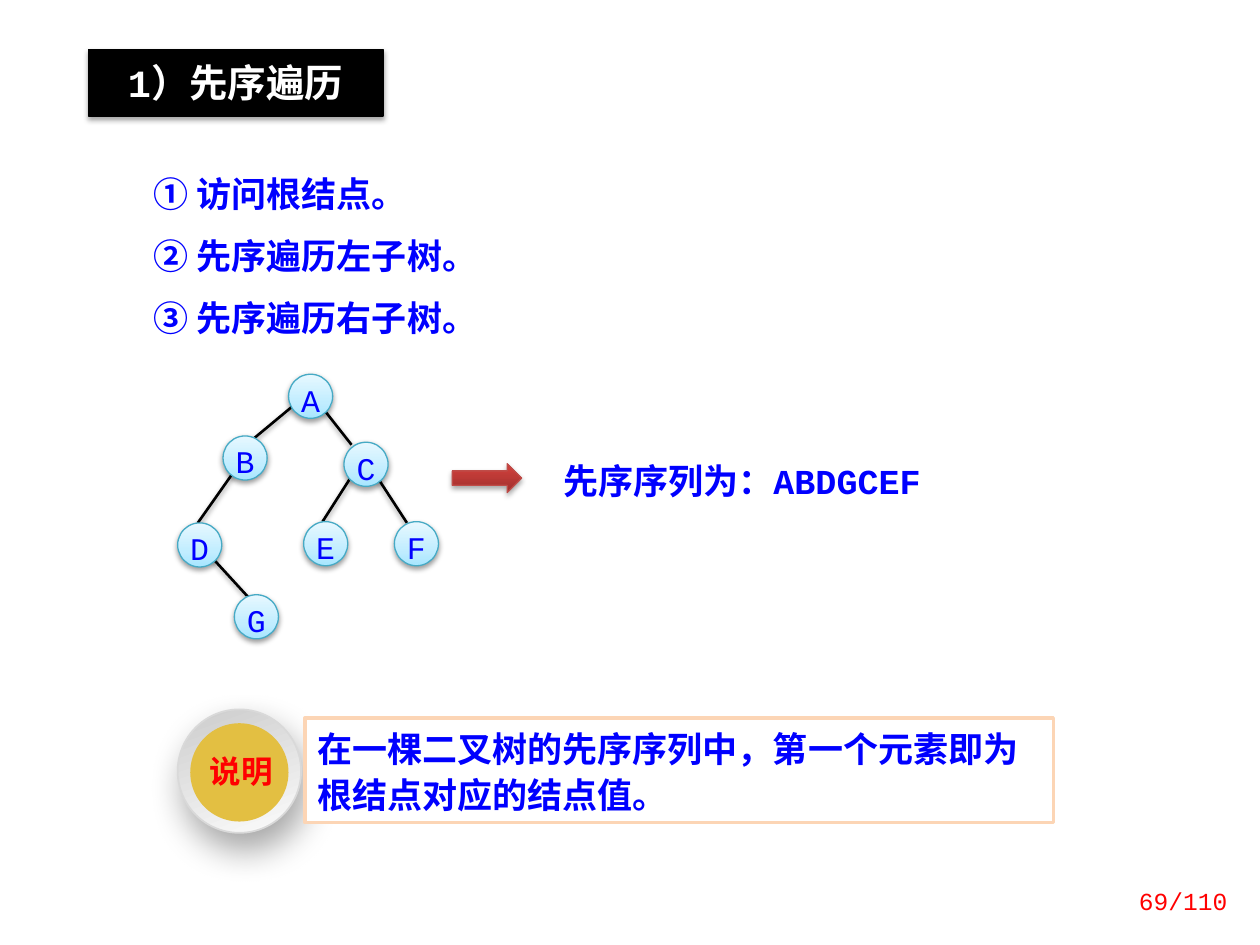
import pptx
import pptx.util
import pptx.dml.color
import pptx.enum.shapes
import pptx.enum.text
import pptx.oxml.ns
from lxml import etree

Inches = pptx.util.Inches
Pt = pptx.util.Pt
RGBColor = pptx.dml.color.RGBColor
Shape = pptx.enum.shapes.MSO_SHAPE
Align = pptx.enum.text.PP_ALIGN
Anchor = pptx.enum.text.MSO_ANCHOR
qn = pptx.oxml.ns.qn

BLACK = RGBColor(0x00, 0x00, 0x00)
WHITE = RGBColor(0xFF, 0xFF, 0xFF)
BLUE = RGBColor(0x00, 0x00, 0xFF)
RED = RGBColor(0xFF, 0x00, 0x00)
TEAL = RGBColor(0x46, 0xAA, 0xC5)
BRICK = RGBColor(0xBF, 0x4C, 0x48)
GREY = RGBColor(0xD9, 0xD9, 0xD9)
GOLD = RGBColor(0xE3, 0xBF, 0x42)
PEACH = RGBColor(0xFC, 0xD5, 0xB5)

# Gradients: angle, then (position, colour) stops
SKY = (270, [(0, "A7E6FF"), (35, "C1EDFF"), (100, "E7F8FF")])
RUST = (270, [(0, "9C2F2D"), (80, "CB3E3A"), (100, "CE3B37")])
STEEL = (70, [(0, "CCCCCC"), (100, "FCFCFC")])

# Shadows: opacity, blur, distance, angle
SOFT = (38, 3.1, 1.6, 90)
FIRM = (35, 3.1, 1.8, 90)
DEEP = (34, 20, 10, 70)


class Deck:
    mono = "Courier New"
    sans = "Noto Sans CJK SC"

    def __init__(self):
        self.prs = pptx.Presentation()
        self.prs.slide_width = Inches(10)
        self.prs.slide_height = Inches(7.5)
        self.slide = self.prs.slides.add_slide(self.prs.slide_layouts[5])
        self.shapes = self.slide.shapes

    def node(self, parent, tag, **attrs):
        item = etree.SubElement(parent, qn(tag))
        for key, value in attrs.items():
            item.set(key, str(value))
        return item

    def shade(self, shape, shadow):
        props = shape._element.spPr
        for old in props.findall(qn("a:effectLst")):
            props.remove(old)
        effects = self.node(props, "a:effectLst")
        if shadow:
            alpha, blur, dist, angle = shadow
            outer = self.node(effects, "a:outerShdw", blurRad=Pt(blur), dist=Pt(dist),
                              dir=angle * 60000, algn="ctr", rotWithShape=0)
            color = self.node(outer, "a:srgbClr", val="000000")
            self.node(color, "a:alpha", val=alpha * 1000)

    def paint(self, shape, fill, line=None, width=0.75, shadow=None):
        if isinstance(fill, RGBColor):
            shape.fill.solid()
            shape.fill.fore_color.rgb = fill
        else:
            angle, stops = fill
            shape.fill.gradient()
            grad = shape._element.spPr.find(qn("a:gradFill"))
            for child in list(grad):
                grad.remove(child)
            group = self.node(grad, "a:gsLst")
            for pos, color in stops:
                stop = self.node(group, "a:gs", pos=pos * 1000)
                self.node(stop, "a:srgbClr", val=color)
            self.node(grad, "a:lin", ang=angle * 60000, scaled=0)
        if line is None:
            shape.line.fill.background()
        else:
            shape.line.color.rgb = line
            shape.line.width = Pt(width)
        self.shade(shape, shadow)

    def label(self, shape, lines, size=20, color=BLUE, bold=True, font=None,
              align=Align.LEFT, anchor=Anchor.TOP, inset=(0.1, 0.05, 0.1, 0.05),
              wrap=True, pitch=None, gap=0):
        frame = shape.text_frame
        frame.auto_size = pptx.enum.text.MSO_AUTO_SIZE.NONE
        frame.word_wrap = wrap
        frame.vertical_anchor = anchor
        (frame.margin_left, frame.margin_top,
         frame.margin_right, frame.margin_bottom) = map(Inches, inset)
        frame.text = "\n".join(lines)
        for i, para in enumerate(frame.paragraphs):
            para.alignment = align
            para.space_before = Pt(gap if i else 0)
            if pitch:
                para.line_spacing = pitch
            para.font.name = font or self.mono
            para.font.size = Pt(size)
            para.font.bold = bold
            para.font.color.rgb = color

    def title(self, text, box):
        shape = self.shapes.title
        shape.left, shape.top, shape.width, shape.height = map(Inches, box)
        self.paint(shape, BLACK, BLACK, shadow=FIRM)
        self.label(shape, [text], 22, WHITE, align=Align.CENTER,
                   inset=(0.1, 0.08, 0.1, 0.08))

    def form(self, kind, box, fill, **style):
        shape = self.shapes.add_shape(kind, *map(Inches, box))
        self.paint(shape, fill, **style)
        return shape

    def text(self, box, words, **style):
        shape = self.shapes.add_textbox(*map(Inches, box))
        self.label(shape, [words], **style)

    def edge(self, ends):
        kind = pptx.enum.shapes.MSO_CONNECTOR.STRAIGHT
        line = self.shapes.add_connector(kind, *map(Inches, ends))
        line.line.color.rgb = BLACK
        line.line.width = Pt(1.5)
        self.shade(line, SOFT)

    def vertex(self, name, left, top):
        shape = self.form(Shape.OVAL, (left, top, 0.35, 0.35), SKY,
                          line=TEAL, shadow=SOFT)
        self.label(shape, [name], 18, bold=False, align=Align.CENTER,
                   inset=(0, 0, 0, 0))


def main():
    deck = Deck()

    # Heading and steps
    deck.title("1）先序遍历", (0.7, 0.39, 2.34, 0.53))
    steps = deck.form(Shape.RECTANGLE, (1.02, 1.25, 2.89, 1.58), WHITE)
    deck.label(steps, ["① 访问根结点。", "② 先序遍历左子树。", "③ 先序遍历右子树。"],
               inset=(0.2, 0.12, 0.1, 0.12), gap=11.3)

    # Binary tree: edges below, nodes above
    for ends in [(2.57, 3.25, 2.79, 3.53), (2.79, 3.78, 2.56, 4.14),
                 (1.65, 4.39, 1.98, 4.75), (2.97, 3.75, 3.23, 4.15),
                 (1.88, 3.71, 1.57, 4.15), (2.46, 3.11, 1.93, 3.55)]:
        deck.edge(ends)
    for name, left, top in [("A", 2.29, 2.97), ("B", 1.77, 3.46), ("C", 2.73, 3.51),
                            ("E", 2.41, 4.14), ("F", 3.13, 4.14), ("D", 1.41, 4.15),
                            ("G", 1.86, 4.72)]:
        deck.vertex(name, left, top)

    # Resulting sequence
    deck.text((4.37, 3.6, 3.05, 0.44), "先序序列为：ABDGCEF")
    deck.form(Shape.RIGHT_ARROW, (3.59, 3.68, 0.55, 0.23), RUST,
              line=BRICK, shadow=FIRM)

    # Badge and remark
    deck.form(Shape.OVAL, (1.41, 5.63, 0.98, 0.98), STEEL,
              line=GREY, width=1, shadow=DEEP)
    deck.form(Shape.OVAL, (1.51, 5.74, 0.78, 0.78), GOLD)
    deck.text((1.56, 5.98, 0.71, 0.34), "说明", size=18, color=RED, font=deck.sans,
              align=Align.CENTER, wrap=False, pitch=0.8)
    note = deck.form(Shape.RECTANGLE, (2.42, 5.7, 5.94, 0.83), WHITE,
                     line=PEACH, width=2)
    deck.label(note, ["在一棵二叉树的先序序列中，第一个元素即为根结点对应的结点值。"],
               pitch=Pt(26))

    # Page number
    deck.text((8.7, 6.95, 1.14, 0.4), "69/110", size=14, color=RED, bold=False,
              align=Align.RIGHT, anchor=Anchor.MIDDLE)

    deck.prs.save("out.pptx")


if __name__ == "__main__":
    main()
